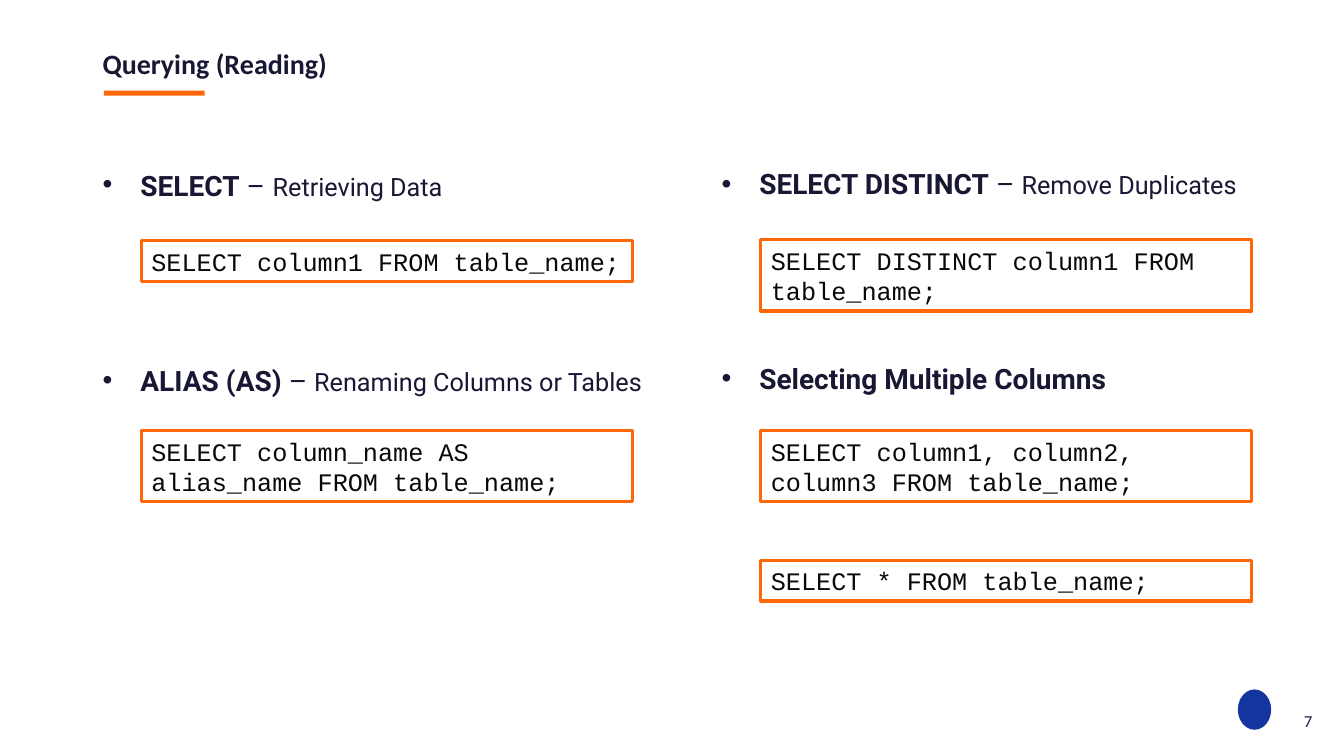
from lxml.etree import SubElement
from pptx import Presentation
from pptx.dml.color import RGBColor
from pptx.enum.shapes import MSO_SHAPE
from pptx.enum.text import MSO_ANCHOR, MSO_AUTO_SIZE, PP_ALIGN
from pptx.oxml.ns import qn
from pptx.util import Pt

COLORS = {"ink": "181835", "code": "090909", "number": "202046",
          "accent": "FF6608", "mark": "1434A0"}

prs = Presentation()
prs.slide_width, prs.slide_height = Pt(960), Pt(540)
s = prs.slides.add_slide(prs.slide_layouts[6])


def add_run(p, text, size, font, color, bold=False):
    r = p.add_run()
    r.text = text
    r.font.size, r.font.name, r.font.bold = Pt(size), font, bold
    r.font.color.rgb = RGBColor.from_string(COLORS[color])


def add_box(left, top, width, height, shape=None, fill=None, line=None):
    box = [Pt(v) for v in (left, top, width, height)]
    if shape is None:
        sp = s.shapes.add_textbox(*box)
    else:
        sp = s.shapes.add_shape(shape, *box)
        sp.shadow.inherit = False
        for part, color in ((sp.fill, fill), (sp.line.fill, line)):
            if color:
                part.solid()
                part.fore_color.rgb = RGBColor.from_string(COLORS[color])
            else:
                part.background()
    sp.text_frame.word_wrap = True
    return sp


# Corner mark and title underline
add_box(884.2, 492.5, 23.8, 28.8, MSO_SHAPE.OVAL, fill="mark")
add_box(74.2, 64.8, 72, 3.6, MSO_SHAPE.RECTANGLE, fill="accent")

# Title
tf = add_box(66.2, 28.8, 828, 36).text_frame
tf.vertical_anchor = MSO_ANCHOR.MIDDLE
p = tf.paragraphs[0]
p.line_spacing = 0.9
add_run(p, "Querying (Reading)", 20, "Calibri", "ink", True)

# Bulleted topics: runs of (text, size, bold)
columns = [
    (66.2, 109.4, [
        [("SELECT", 20, True), (" –", 20, False), (" ", 22, False),
         ("Retrieving Data", 18, False)],
        [("ALIAS (AS)", 20, True), (" – ", 20, False),
         ("Renaming Columns or Tables", 18, False)]]),
    (508.3, 110.9, [
        [("SELECT DISTINCT", 20, True), (" – ", 20, False),
         ("Remove Duplicates", 18, False)],
        [("Selecting Multiple Columns", 20, True)]]),
]
for left, top, topics in columns:
    tf = add_box(left, top, 452, 321).text_frame
    for i, runs in enumerate(topics):
        p = tf.add_paragraph() if i else tf.paragraphs[0]
        p.line_spacing = 1.2
        p.space_before = Pt(110 if i else 0)
        pPr = p._p.get_or_add_pPr()
        pPr.set("marL", str(Pt(27)))
        pPr.set("indent", str(-Pt(27)))
        SubElement(pPr, qn("a:buFont")).set("typeface", "Arial")
        SubElement(pPr, qn("a:buChar")).set("char", "•")
        for text, size, bold in runs:
            add_run(p, text, size, "Roboto", "ink", bold)

# Code boxes
snippets = [
    (101, 172, 29, "SELECT column1 FROM table_name;"),
    (101, 307.5, 51, "SELECT column_name AS alias_name FROM table_name;"),
    (543.5, 171.2, 51, "SELECT DISTINCT column1 FROM table_name;"),
    (543.5, 307.5, 51, "SELECT column1, column2, column3 FROM table_name;"),
    (543.5, 400.3, 29, "SELECT * FROM table_name;"),
]
for left, top, height, code in snippets:
    sp = add_box(left, top, 350.8, height, MSO_SHAPE.RECTANGLE, line="accent")
    sp.line.width = Pt(2.25)
    tf = sp.text_frame
    tf.auto_size = MSO_AUTO_SIZE.SHAPE_TO_FIT_TEXT
    tf.vertical_anchor = MSO_ANCHOR.MIDDLE
    p = tf.paragraphs[0]
    p.alignment = PP_ALIGN.LEFT
    add_run(p, code, 18, "Courier New", "code")

# Slide number
tf = add_box(15.8, 500.4, 928.8, 28.8).text_frame
tf.vertical_anchor = MSO_ANCHOR.MIDDLE
p = tf.paragraphs[0]
p.alignment = PP_ALIGN.RIGHT
add_run(p, "7", 12, "Calibri", "number")

prs.save("out.pptx")
